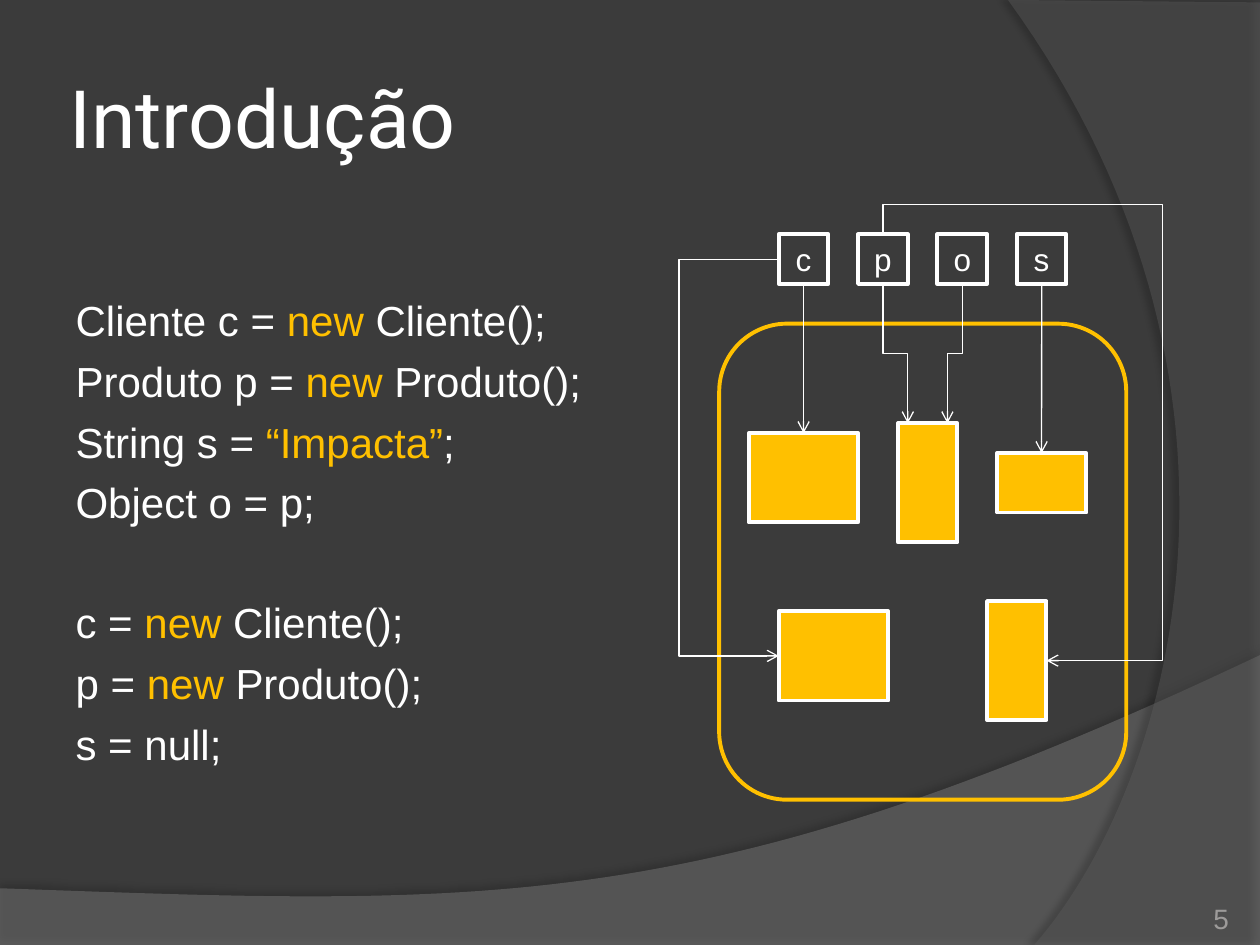
from dataclasses import dataclass
from lxml.etree import SubElement
from pptx import Presentation
from pptx.dml.color import RGBColor
from pptx.enum.shapes import MSO_CONNECTOR as Link, MSO_SHAPE as Shape
from pptx.enum.text import MSO_ANCHOR as Anchor, MSO_AUTO_SIZE as AutoSize, PP_ALIGN as Align
from pptx.oxml.ns import qn
from pptx.slide import Slide
from pptx.util import Pt

COLORS = {"back": "3B3B3B", "wave": "7F7F7F", "arc": "5E5E5E", "shadow": "000000",
          "text": "FFFFFF", "accent": "FFC000", "number": "9D9B9A"}
BOTTOM, TOP = 2, 0


def rgb(name):
    """Return the named colour."""
    return RGBColor.from_string(COLORS[name])


def write(para, text, font="Arial", size=24, color="text"):
    """Add a formatted span to a paragraph."""
    span = para.add_run()
    span.text = text
    span.font.name, span.font.size = font, Pt(size)
    span.font.color.rgb = rgb(color)


def bezier(start, first, second, end, steps=60):
    """Return points along a cubic curve."""
    return [tuple((1 - t) ** 3 * a + 3 * t * (1 - t) ** 2 * b + 3 * t * t * (1 - t) * c + t ** 3 * d
                  for a, b, c, d in zip(start, first, second, end))
            for t in (step / steps for step in range(steps + 1))]


def place(shape, left, top, width, height):
    """Set the position and size of a shape in points."""
    shape.left, shape.top, shape.width, shape.height = map(Pt, (left, top, width, height))


def set_frame(frame, anchor, inset=None):
    """Set wrapping, anchor and insets of a text frame."""
    frame.word_wrap, frame.auto_size = True, AutoSize.NONE
    frame.vertical_anchor = anchor
    if inset is not None:
        frame.margin_left = frame.margin_right = frame.margin_top = frame.margin_bottom = Pt(inset)


@dataclass
class Painter:
    """Draw elements on the current slide in one style."""
    slide: Slide
    border: float = 2.25
    thin: float = 0.75

    def title(self, text, *area):
        """Fill the title placeholder."""
        box = self.slide.shapes.title
        place(box, *area)
        set_frame(box.text_frame, Anchor.MIDDLE, 3.6)
        para = box.text_frame.paragraphs[0]
        para.alignment = Align.LEFT
        write(para, text, font="Roboto", size=46)

    def code(self, groups, *area):
        """Fill the body placeholder with groups of code lines."""
        box = self.slide.placeholders[1]
        place(box, *area)
        frame = box.text_frame
        set_frame(frame, Anchor.TOP)
        for group_index, group in enumerate(groups):
            for line_index, line in enumerate(group):
                first = group_index == line_index == 0
                para = frame.paragraphs[0] if first else frame.add_paragraph()
                props = para._p.get_or_add_pPr()
                props.set("marL", "0")
                props.set("indent", "0")
                SubElement(props, qn("a:buNone"))
                gap = 6 if line_index else 39.5
                para.space_before = Pt(0 if first else gap)
                for index, part in enumerate(line):
                    write(para, part, color="accent" if index % 2 else "text")

    def number(self, text, *area):
        """Add the slide number."""
        box = self.slide.shapes.add_textbox(*map(Pt, area))
        set_frame(box.text_frame, Anchor.BOTTOM, 0)
        para = box.text_frame.paragraphs[0]
        para.alignment = Align.RIGHT
        write(para, text, size=16, color="number")

    def backdrop(self, points, color, opacity, shade, distance, direction):
        """Add a translucent outline with a soft shadow."""
        start, *rest = [(Pt(x), Pt(y)) for x, y in points]
        builder = self.slide.shapes.build_freeform(*start)
        builder.add_line_segments(rest, close=True)
        shape = builder.convert_to_shape()
        shape.fill.solid()
        shape.fill.fore_color.rgb = rgb(color)
        shape.line.fill.background()
        shape.shadow.inherit = False
        props = shape._element.spPr
        fill = props.find(qn("a:solidFill")).find(qn("a:srgbClr"))
        SubElement(fill, qn("a:alpha"), val=str(opacity * 1000))
        shadow = SubElement(props.find(qn("a:effectLst")), qn("a:outerShdw"), blurRad=str(Pt(4)),
                            dist=str(Pt(distance)), dir=str(direction * 60000), rotWithShape="0")
        tint = SubElement(shadow, qn("a:srgbClr"), val=COLORS["shadow"])
        SubElement(tint, qn("a:alpha"), val=str(shade * 1000))

    def box(self, left, top, width, height, text="", fill=None, line="text", kind=Shape.RECTANGLE):
        """Add an outlined shape, filled or labelled on demand."""
        shape = self.slide.shapes.add_shape(kind, *map(Pt, (left, top, width, height)))
        shape.shadow.inherit = False
        if fill:
            shape.fill.solid()
            shape.fill.fore_color.rgb = rgb(fill)
        else:
            shape.fill.background()
        shape.line.color.rgb, shape.line.width = rgb(line), Pt(self.border)
        if text:
            set_frame(shape.text_frame, Anchor.MIDDLE)
            para = shape.text_frame.paragraphs[0]
            para.alignment = Align.CENTER
            write(para, text, size=18)
        return shape

    def connector(self, kind, left, top, right, bottom):
        """Add a thin connector with an open arrowhead."""
        link = self.slide.shapes.add_connector(kind, *map(Pt, (left, top, right, bottom)))
        link.line.color.rgb, link.line.width = rgb("text"), Pt(self.thin)
        props = link._element.spPr
        SubElement(props.find(qn("a:ln")), qn("a:tailEnd"), type="arrow")
        SubElement(props, qn("a:effectLst"))
        return link

    def arrow(self, source, target):
        """Join two shapes with a straight downward arrow."""
        link = self.connector(Link.STRAIGHT, 0, 0, 1, 1)
        link.begin_connect(source, BOTTOM)
        link.end_connect(target, TOP)

    def elbow(self, start, end, turn, bends, flip=None):
        """Add a turned elbow arrow with the given bend ratios."""
        (x1, y1), (x2, y2) = start, end
        width, height = abs(x2 - x1), abs(y2 - y1)
        if turn != 180:
            width, height = height, width
        left, top = (x1 + x2 - width) / 2, (y1 + y2 - height) / 2
        link = self.connector(Link.ELBOW, left, top, left + width, top + height)
        props = link._element.spPr
        frame, shape = props.find(qn("a:xfrm")), props.find(qn("a:prstGeom"))
        frame.set("rot", str(turn * 60000))
        if flip:
            frame.set(flip, "1")
        shape.set("prst", f"bentConnector{len(bends) + 2}")
        guides = shape.find(qn("a:avLst"))
        for index, bend in enumerate(bends, 1):
            name = "adj" if len(bends) == 1 else f"adj{index}"
            SubElement(guides, qn("a:gd"), name="adj1" if name == "adj" else name,
                       fmla=f"val {round(bend * 100000)}")


def main():
    """Build and save the slide."""
    deck = Presentation()
    deck.slide_width, deck.slide_height = Pt(720), Pt(540)
    slide = deck.slides.add_slide(deck.slide_layouts[1])
    slide.background.fill.solid()
    slide.background.fill.fore_color.rgb = rgb("back")
    painter = Painter(slide)

    wave = bezier((720, 374.4), (402.5, 524.9), (281.5, 517.7), (0, 507.6))
    painter.backdrop([(0, 540), (720, 540), *wave], "wave", 45, 35, 3.5, 270)
    arc = bezier((591, 540), (673.2, 445.7), (733, 216), (576, 0))
    painter.backdrop([(720, 1.4), (720, 540), *arc], "arc", 40, 45, 4, 180)

    painter.title("Introdução", 36, 21.6, 588, 90)
    client, product = ("new", " Cliente();"), ("new", " Produto();")
    painter.code([
        [("Cliente c = ", *client), ("Produto p = ", *product),
         ("String s = ", "“Impacta”", ";"), ("Object o = p;",)],
        [("c = ", *client), ("p = ", *product), ("s = null;",)],
    ], 36, 164.5, 307, 283)
    painter.number("5", 642.2, 505.4, 60, 28.8)

    side, pitch, left, top = 28.4, 45.35, 445, 133.9
    variables = {name: painter.box(left + index * pitch, top, side, side, name)
                 for index, name in enumerate("cpos")}
    painter.box(411, 185, 232.6, 272, line="accent", kind=Shape.ROUNDED_RECTANGLE)
    client_size, product_size, string_size = (62.6, 51), (34, 68), (51, 34)
    objects = [painter.box(x, y, *size, fill="accent") for x, y, size in (
        (427.9, 247.5, client_size), (513.1, 241.9, product_size), (569.7, 258.9, string_size),
        (445, 349.3, client_size), (564, 343.5, product_size))]

    painter.arrow(variables["c"], objects[0])
    painter.arrow(variables["s"], objects[2])
    p_middle, o_middle = (left + index * pitch + side / 2 for index in (1, 2))
    base = top + side
    painter.elbow((p_middle, base), (518.7, 241.9), 270, [0.5], "flipH")
    painter.elbow((o_middle, base), (541.4, 241.9), 90, [0.5])
    painter.elbow((p_middle, top), (598, 377.5), 270, [-0.07, 1.71], "flipH")
    painter.elbow((left + 1, top + side / 2), (left, 374.8), 180, [58.4], "flipV")
    deck.save("out.pptx")


if __name__ == "__main__":
    main()
